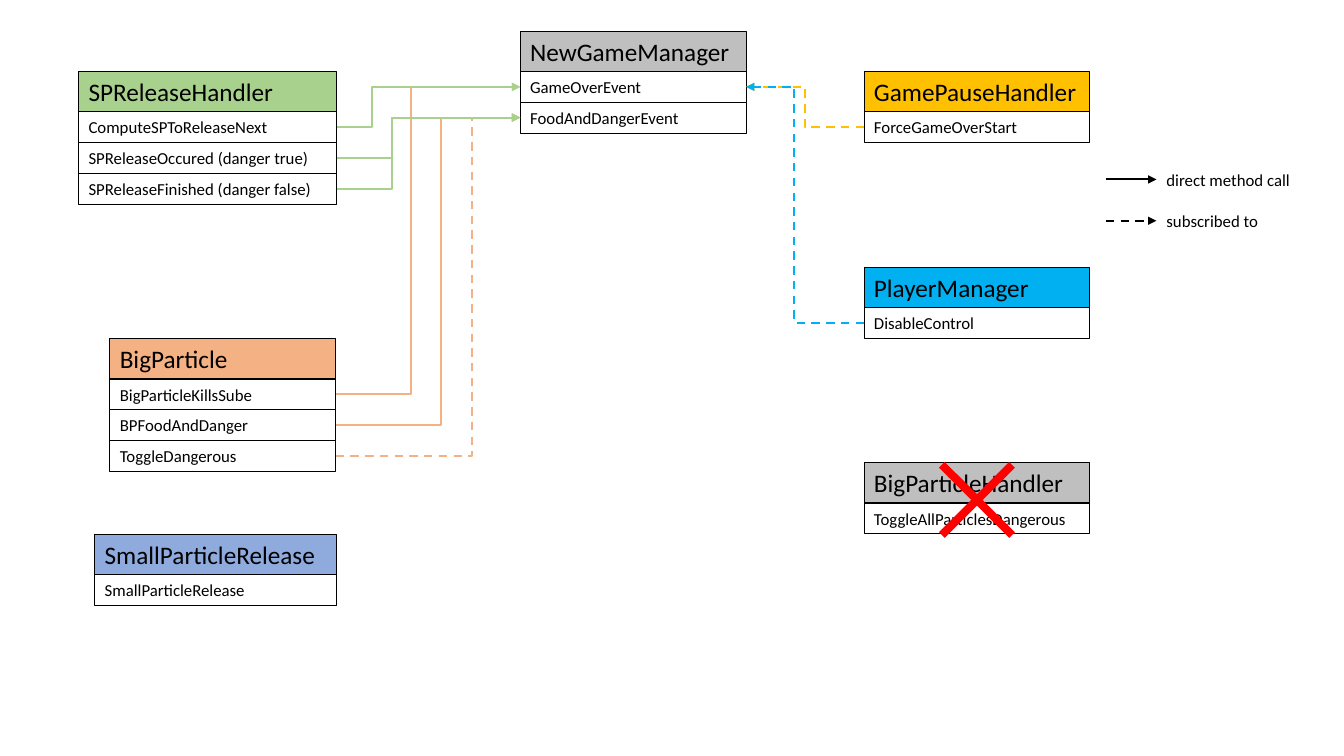
"""Build a diagram of game classes, their methods and the calls between them."""
from lxml.etree import SubElement
from pptx import Presentation
from pptx.dml.color import RGBColor
from pptx.enum.dml import MSO_LINE
from pptx.enum.shapes import MSO_CONNECTOR, MSO_SHAPE
from pptx.enum.text import MSO_ANCHOR, MSO_AUTO_SIZE, PP_ALIGN
from pptx.oxml.ns import qn
from pptx.util import Inches, Pt

theme = {
    "font": "Calibri", "title": Pt(18), "body": Pt(12),
    "edge": Pt(0.75), "wire": Pt(1.5),
    "black": RGBColor.from_string("000000"),
    "gray": RGBColor.from_string("BFBFBF"),
    "green": RGBColor.from_string("A9D18E"),
    "orange": RGBColor.from_string("F4B183"),
    "gold": RGBColor.from_string("FFC000"),
    "cyan": RGBColor.from_string("00B0F0"),
    "blue": RGBColor.from_string("8FAADC"),
    "red": RGBColor.from_string("FF0000"),
}
head, row = Inches(0.4), Inches(0.61) // 2

deck = Presentation()
deck.slide_width, deck.slide_height = Inches(13.33), Inches(7.5)
shapes = deck.slides.add_slide(deck.slide_layouts[6]).shapes


def write(shape, text, size, anchor):
    frame = shape.text_frame
    frame.text = text
    para = frame.paragraphs[0]
    para.alignment = PP_ALIGN.LEFT
    para.font.color.rgb = theme["black"]
    looks = [
        (frame, {"word_wrap": True, "vertical_anchor": anchor,
                 "auto_size": MSO_AUTO_SIZE.SHAPE_TO_FIT_TEXT}),
        (para.font, {"name": theme["font"], "size": theme[size]}),
    ]
    for part, look in looks:
        for key, value in look.items():
            setattr(part, key, value)


def style(wire, color, dashed):
    line = wire.line
    line.color.rgb = theme[color]
    look = {"width": theme["wire"],
            "dash_style": MSO_LINE.DASH if dashed else MSO_LINE.SOLID}
    for key, value in look.items():
        setattr(line, key, value)
    SubElement(line._get_or_add_ln(), qn("a:tailEnd"), type="triangle")
    SubElement(wire._element.spPr, qn("a:effectLst"))


cards = [
    ("BigParticle", "orange", 1.09, 3.36, 2.24,
     ["BigParticleKillsSube", "BPFoodAndDanger", "ToggleDangerous"]),
    ("SPReleaseHandler", "green", 0.78, 0.71, 2.56,
     ["ComputeSPToReleaseNext", "SPReleaseOccured (danger true)",
      "SPReleaseFinished (danger false)"]),
    ("NewGameManager", "gray", 5.16, 0.31, 2.24,
     ["GameOverEvent", "FoodAndDangerEvent"]),
    ("GamePauseHandler", "gold", 8.57, 0.71, 2.24, ["ForceGameOverStart"]),
    ("PlayerManager", "cyan", 8.57, 2.65, 2.24, ["DisableControl"]),
    ("BigParticleHandler", "gray", 8.57, 4.59, 2.24,
     ["ToggleAllParticlesDangerous"]),
    ("SmallParticleRelease", "blue", 0.94, 5.3, 2.4,
     ["SmallParticleRelease"]),
]
boxes = {}
for name, color, left, top, width, methods in cards:
    y = Inches(top)
    for i, text in enumerate([name] + methods):
        high = row if i else head
        box = shapes.add_shape(
            MSO_SHAPE.RECTANGLE, Inches(left), y, Inches(width), high)
        box.shadow.inherit = False
        box.line.color.rgb = theme["black"]
        box.line.width = theme["edge"]
        if i:
            box.fill.background()
            write(box, text, "body", MSO_ANCHOR.MIDDLE)
        else:
            box.fill.solid()
            box.fill.fore_color.rgb = theme[color]
            write(box, text, "title", MSO_ANCHOR.TOP)
        boxes[text] = box
        y += high

cross = shapes.add_shape(MSO_SHAPE.MATH_MULTIPLY, Inches(9.02), Inches(4.29),
                         Inches(1.34), Inches(1.34))
cross.shadow.inherit = False
cross.adjustments[0] = 0.06
cross.fill.solid()
cross.fill.fore_color.rgb = theme["red"]
cross.line.fill.background()

over, food = "GameOverEvent", "FoodAndDangerEvent"
left_site, right_site = 1, 3
calls = [
    ("BigParticleKillsSube", over, "orange", False, 41),
    ("ComputeSPToReleaseNext", over, "green", False, 19),
    ("ForceGameOverStart", over, "gold", True, 50),
    ("ToggleDangerous", food, "orange", True, 74),
    ("BPFoodAndDanger", food, "orange", False, 57),
    ("DisableControl", over, "cyan", True, 59),
    ("SPReleaseOccured (danger true)", food, "green", False, 30),
    ("SPReleaseFinished (danger false)", food, "green", False, 30),
]
for start, end, color, dashed, bend in calls:
    wire = shapes.add_connector(MSO_CONNECTOR.ELBOW, 0, 0, 0, 0)
    sites = [right_site, left_site]
    if boxes[start].left > boxes[end].left:
        sites.reverse()
    wire.begin_connect(boxes[start], sites[0])
    wire.end_connect(boxes[end], sites[1])
    guides = wire._element.spPr.find(qn("a:prstGeom")).find(qn("a:avLst"))
    SubElement(guides, qn("a:gd"), name="adj1", fmla=f"val {bend * 1000}")
    style(wire, color, dashed)

keys = [("direct method call", False), ("subscribed to", True)]
for i, (text, dashed) in enumerate(keys):
    y = Inches(1.78 + 0.41 * i)
    wire = shapes.add_connector(
        MSO_CONNECTOR.STRAIGHT, Inches(10.97), y, Inches(11.47), y)
    style(wire, "black", dashed)
    label = shapes.add_textbox(
        Inches(11.47), y - Inches(0.15), Inches(1.45), row)
    write(label, text, "body", MSO_ANCHOR.TOP)

deck.save("out.pptx")
